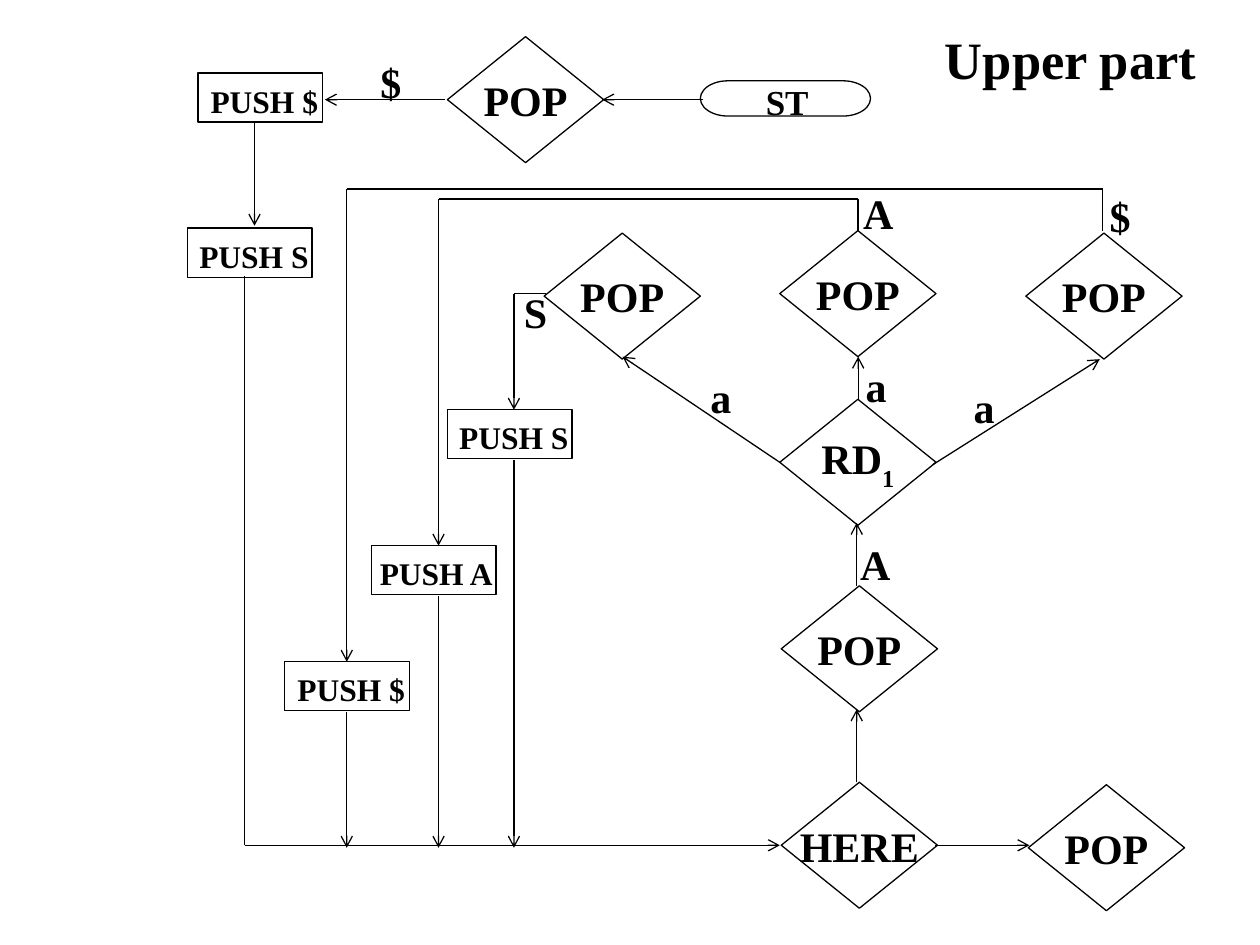
from itertools import pairwise

from lxml import etree
from pptx import Presentation
from pptx import util as u
from pptx.dml import color
from pptx.enum import shapes, text
from pptx.oxml import ns

INK = "000000"
FACE = "Times New Roman"
KIND = shapes.MSO_SHAPE
MID = text.PP_ALIGN.CENTER


def paint(code):
    return color.RGBColor.from_string(code)


def write(frame, words, size=24, align=None, sub="", wrap=True):
    frame.word_wrap = wrap
    line = frame.paragraphs[0]
    line.alignment = align
    for part in filter(None, (words, sub)):
        run = line.add_run()
        run.text = part
        font = run.font
        font.name, font.size, font.bold = FACE, u.Pt(size), True
        font.color.rgb = paint(INK)
    if sub:
        run._r.get_or_add_rPr().set("baseline", "-30000")


def label(slide, x, y, words, wide=2.34, high=1.27, **form):
    box = slide.shapes.add_textbox(u.Cm(x), u.Cm(y), u.Cm(wide), u.Cm(high))
    box.text_frame.auto_size = text.MSO_AUTO_SIZE.SHAPE_TO_FIT_TEXT
    write(box.text_frame, words, **form)


def outline(slide, kind, x, y, wide, high):
    shape = slide.shapes.add_shape(kind, u.Cm(x), u.Cm(y), u.Cm(wide), u.Cm(high))
    shape.shadow.inherit = False
    shape.fill.background()
    shape.line.color.rgb = paint(INK)
    shape.line.width = u.Pt(0.75)
    return shape


def choice(slide, x, y, words, sub=""):
    frame = outline(slide, KIND.FLOWCHART_DECISION, x, y, 3.15, 2.54).text_frame
    frame.vertical_anchor = text.MSO_ANCHOR.MIDDLE
    write(frame, words, align=MID, sub=sub, wrap=False)


def push(slide, x, y, sign, wide=2.74, shift=-0.03):
    outline(slide, KIND.RECTANGLE, x, y, 2.51, 0.99)
    label(slide, x + shift, y + 0.05, "PUSH " + sign, wide, 1.02, size=18, align=MID)


def route(slide, x, y, *stops):
    for (ax, ay), (bx, by) in pairwise(stops):
        line = slide.shapes.add_connector(
            shapes.MSO_CONNECTOR.STRAIGHT,
            u.Cm(x + ax), u.Cm(y + ay), u.Cm(x + bx), u.Cm(y + by))
        line.line.color.rgb = paint(INK)
        line.line.width = u.Pt(0.75)
        props = line._element.spPr
        etree.SubElement(props, ns.qn("a:effectLst"))
    tip = etree.SubElement(props.find(ns.qn("a:ln")), ns.qn("a:tailEnd"))
    tip.set("type", "arrow")


def start(slide, x, y):
    label(slide, x + 10.39, y + 0.76, "ST", 3.4, 1.12, size=20, align=MID)
    outline(slide, KIND.FLOWCHART_TERMINATOR, x + 10.34, y + 0.89, 3.43, 0.71)
    choice(slide, x + 5.24, y, "POP")
    push(slide, x + 0.21, y + 0.73, "$")
    push(slide, x, y + 3.86, "S")
    label(slide, x + 3.64, y + 0.28, "$")
    route(slide, x, y, (10.39, 1.27), (8.36, 1.27))
    route(slide, x, y, (5.19, 1.27), (2.77, 1.27))
    route(slide, x, y, (1.35, 1.7), (1.35, 3.81))


def read(slide, x, y):
    for dx, dy, words, sub in (
            (0, 0.05, "POP", ""), (4.75, 0, "POP", ""), (9.71, 0.05, "POP", ""),
            (4.75, 3.4, "RD", "1"), (4.78, 7.16, "POP", ""),
            (4.78, 11.12, "HERE", ""), (9.76, 11.17, "POP", "")):
        choice(slide, x + dx, y + dy, words, sub)
    for dx, dy, sign in ((3.1, 2.72, "a"), (6.23, 2.49, "a"),
                         (8.41, 2.92, "a"), (6.12, 6.09, "A")):
        label(slide, x + dx, y + dy, sign)
    for ends in (((6.3, 11.12), (6.3, 9.65)), ((6.3, 7.16), (6.3, 5.89)),
                 ((6.33, 3.4), (6.33, 2.54)), ((4.75, 4.67), (1.58, 2.54)),
                 ((7.83, 4.72), (11.2, 2.59)), ((7.88, 12.39), (9.78, 12.39))):
        route(slide, x, y, *ends)


def store(slide, x, y):
    base = 13.28
    push(slide, x + 4.09, y + 4.45, "S")
    push(slide, x + 2.56, y + 7.19, "A", 3.33, -0.36)
    push(slide, x + 0.81, y + 9.53, "$")
    for dx, dy, sign in ((5.38, 1.85, "S"), (12.22, -0.15, "A"), (17.19, -0.1, "$")):
        label(slide, x + dx, y + dy, sign)
    route(slide, x, y, (0, 1.75), (0, 13.23), (10.79, 13.23))
    route(slide, x, y, (6.07, 2.11), (5.43, 2.11), (5.43, 4.45))
    for far, rise, lane, stop in ((12.37, 0.2, 3.91, 7.19), (17.3, 0, 2.06, 9.53)):
        route(slide, x, y, (far, 0.84), (far, rise), (lane, rise), (lane, stop))
    for lane, top in ((5.43, 5.46), (3.91, 8.2), (2.06, 10.54)):
        route(slide, x, y, (lane, top), (lane, base))


def main():
    deck = Presentation()
    deck.slide_width, deck.slide_height = u.Cm(25.4), u.Cm(19.05)
    slide = deck.slides.add_slide(deck.slide_layouts[6])
    start(slide, 3.78, 0.74)
    read(slide, 10.97, 4.65)
    store(slide, 4.93, 3.81)
    label(slide, 18.8, 0.43, "Upper part", 6.15, 1.52, size=30)
    deck.save("out.pptx")


if __name__ == "__main__":
    main()
